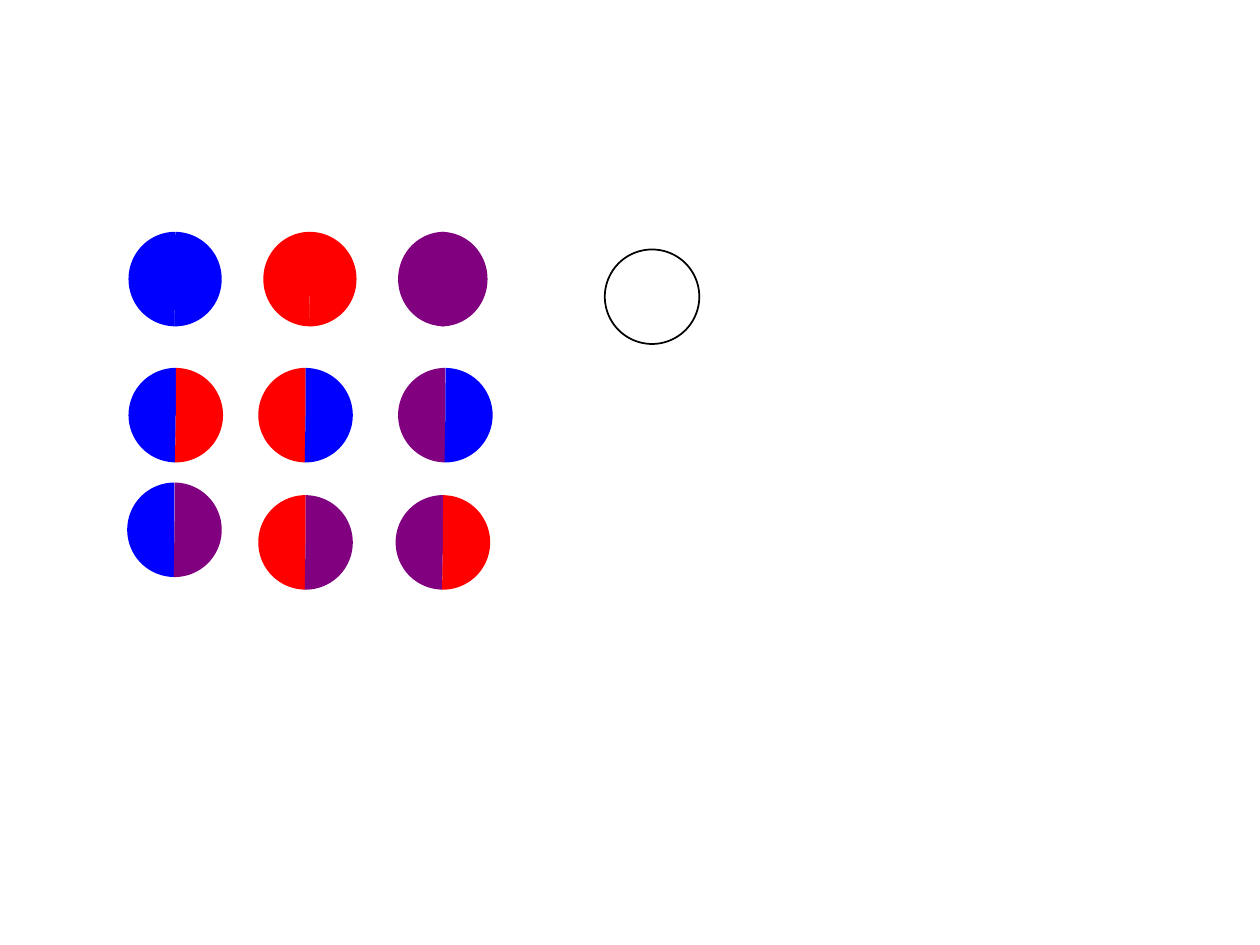
"""Draw a three by three set of two-part discs and one empty ring."""
from pptx import Presentation
from pptx.dml.color import RGBColor
from pptx.enum.shapes import MSO_SHAPE
from pptx.util import Inches, Pt

BLUE, RED, PURPLE = "0000FF", "FF0000", "800080"
SIZE = 0.75
LEFT, RIGHT = (54.385, 162), (162.128, 54.581)
RING = (4.8, 1.98)
ROWS = [
    [
        (1.02, 1.84, 0.74, 0, BLUE, BLUE),
        (2.09, 1.84, 0.74, 0, RED, RED),
        (3.16, 1.84, 0.73, -0.02, PURPLE, PURPLE),
    ],
    [
        (1.02, 2.92, SIZE, 0, BLUE, RED),
        (2.05, 2.92, SIZE, 0, RED, BLUE),
        (3.16, 2.92, SIZE, 0, PURPLE, BLUE),
    ],
    [
        (1.01, 3.83, SIZE, 0, BLUE, PURPLE),
        (2.05, 3.93, SIZE, 0, RED, PURPLE),
        (3.14, 3.93, SIZE, 0, PURPLE, RED),
    ],
]


def color(code):
    return RGBColor.from_string(code)


def draw(shapes, kind, x, y, width, fill=None, line=None):
    shape = shapes.add_shape(kind, *map(Inches, (x, y, width, SIZE)))
    shape.shadow.inherit = False
    if fill:
        shape.fill.solid()
        shape.fill.fore_color.rgb = color(fill)
    else:
        shape.fill.background()
    if line:
        shape.line.color.rgb = color(line)
        shape.line.width = Pt(1)
    else:
        shape.line.fill.background()
    return shape


def disc(slide, x, y, width, shift, first, second):
    shapes = slide.shapes.add_group_shape().shapes
    for left, fill, angles in ((x, first, LEFT), (x + shift, second, RIGHT)):
        half = draw(shapes, MSO_SHAPE.PIE, left, y, width, fill=fill)
        half.adjustments[0], half.adjustments[1] = angles


def main():
    deck = Presentation()
    deck.slide_width, deck.slide_height = Inches(10), Inches(7.5)
    slide = deck.slides.add_slide(deck.slide_layouts[6])
    for row in ROWS:
        for item in row:
            disc(slide, *item)
    draw(slide.shapes, MSO_SHAPE.OVAL, *RING, SIZE, line="000000")
    deck.save("out.pptx")


if __name__ == "__main__":
    main()
